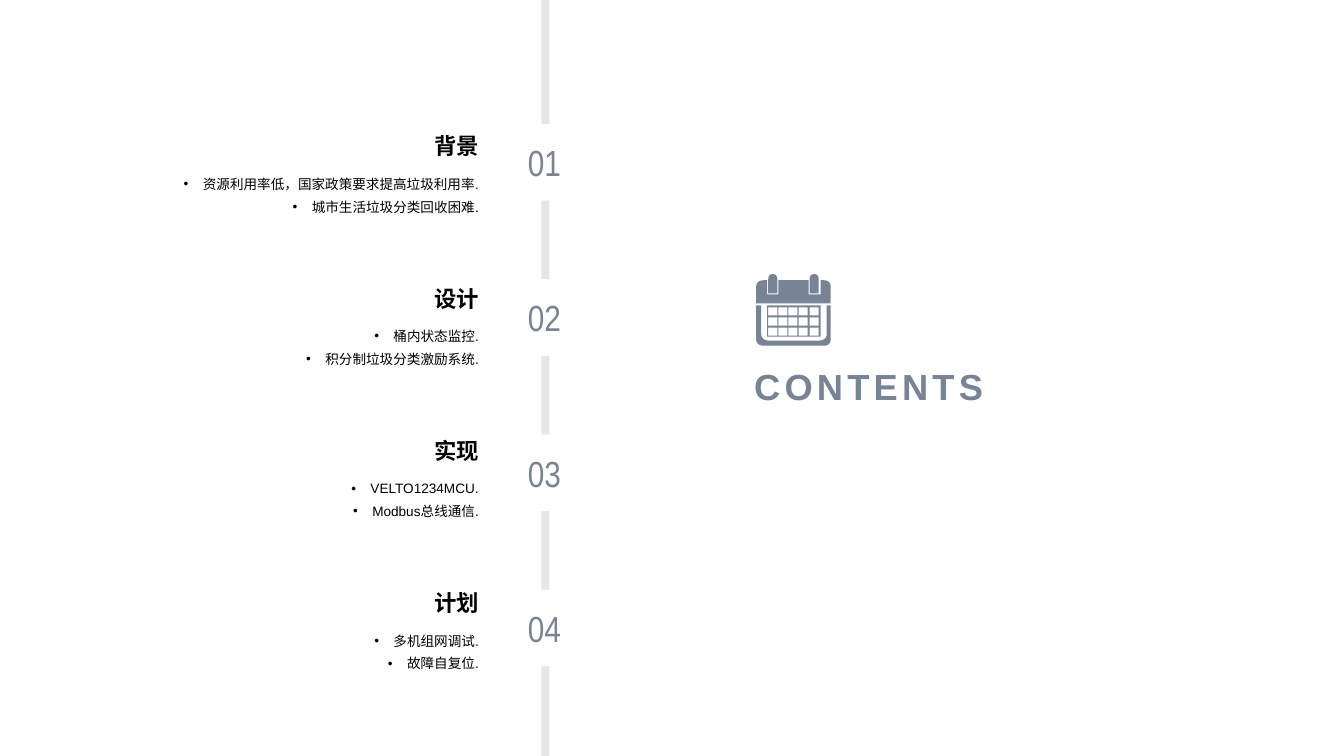
from dataclasses import dataclass
from itertools import product

from lxml.etree import SubElement
from pptx import Presentation
from pptx.dml.color import RGBColor
from pptx.enum.shapes import MSO_SHAPE as Kind
from pptx.enum.text import MSO_ANCHOR as Anchor, MSO_AUTO_SIZE as Fit, PP_ALIGN as Align
from pptx.oxml.ns import qn
from pptx.util import Pt

PX = 9144  # EMU in one px, 100 px to the inch
HUE = {"slate": "778495", "rail": "E4E6EA", "white": "FFFFFF", "ink": "000000"}
STEP = 151  # between topics
GAP = 154  # between numbers

Point = tuple[float, float]
Box = tuple[int, int, int, int]


@dataclass
class Topic:
    head: str
    items: list[str]


TOPICS = [
    Topic("背景", ["资源利用率低，国家政策要求提高垃圾利用率.", "城市生活垃圾分类回收困难."]),
    Topic("设计", ["桶内状态监控.", "积分制垃圾分类激励系统."]),
    Topic("实现", ["VELTO1234MCU.", "Modbus总线通信."]),
    Topic("计划", ["多机组网调试.", "故障自复位."]),
]
HEAD = {"name": "Arial", "size": Pt(16), "bold": True}
ITEM = {"name": "Arial", "size": Pt(9.7), "bold": False}
TITLE = {"name": "Arial", "size": Pt(25.9), "bold": True}
NUMBER = {"name": "Arial Narrow", "size": Pt(25.9), "bold": False}


def apply(target, values: dict) -> None:
    for name, value in values.items():
        setattr(target, name, value)


def color(name: str) -> RGBColor:
    return RGBColor.from_string(HUE[name])


def place(shape, box: Box) -> None:
    names = ("left", "top", "width", "height")
    apply(shape, {name: side * PX for name, side in zip(names, box)})


def paint(shape, hue: str) -> None:
    shape.shadow.inherit = False
    shape.fill.solid()
    shape.fill.fore_color.rgb = color(hue)
    shape.line.fill.background()


def write(shape, lines: list[str], font: dict, hue: str, para: dict,
          anchor: Anchor, wrap: bool = True) -> None:
    frame = shape.text_frame
    frame.text = "\n".join(lines)
    apply(frame, {"auto_size": Fit.NONE, "word_wrap": wrap, "vertical_anchor": anchor})
    for par in frame.paragraphs:
        apply(par, {"space_before": Pt(0), **para})
        for run in par.runs:
            apply(run.font, font)
            run.font.color.rgb = color(hue)


def bullet(par) -> None:
    props = par._p.get_or_add_pPr()
    indents = {"marL": 19 * PX, "indent": -19 * PX}
    for name, value in indents.items():
        props.set(name, str(value))
    SubElement(props, qn("a:buFont")).set("typeface", "Arial")
    SubElement(props, qn("a:buChar")).set("char", "•")


def curve(start: Point, tip: Point, end: Point) -> list[Point]:
    """Points of a rounded corner that bends towards its tip."""
    steps = [n / 8 for n in range(9)]
    return [tuple((1 - t) ** 2 * a + 2 * t * (1 - t) * b + t * t * c
                  for a, b, c in zip(start, tip, end)) for t in steps]


def rect(left: int, top: int, right: int, base: int) -> list[Point]:
    return [(left, top), (right, top), (right, base), (left, base)]


def ring(left: int) -> list[Point]:
    """One binder tab with a round top."""
    mid, right = left + 4.5, left + 9
    return [(left, 291), *curve((left, 277), (left, 272), (mid, 272)),
            *curve((mid, 272), (right, 272), (right, 277)), (right, 291)]


def outline() -> list[list[Point]]:
    """Contours of the calendar; inner ones cut holes."""
    frame = [(750, 303), (755, 303), *curve((755, 331), (755, 338), (764, 338)),
             *curve((811, 338), (820, 338), (820, 331)), (820, 303), (824, 303),
             *curve((824, 336), (824, 343), (817, 343)),
             *curve((758, 343), (750, 343), (750, 336))]
    band = [(750, 301), *curve((750, 285), (750, 278), (758, 278)),
            (761, 278), (761, 292), (772, 292), (772, 278),
            (802, 278), (802, 292), (814, 292), (814, 278),
            *curve((817, 278), (824, 278), (824, 285)), (824, 301)]
    cells = [rect(x, y, x + 9, y + 8) for x, y in
             product((762 + col * 41 // 4 for col in range(5)), range(305, 335, 10))]
    return [frame, rect(761, 303, 814, 334), *cells, band, ring(762), ring(803)]


def calendar(shapes) -> None:
    first, *rest = outline()
    pen = shapes.build_freeform(first[0][0] * PX, first[0][1] * PX)
    for part in [first, *rest]:
        dots = [(x * PX, y * PX) for x, y in part]
        if part is not first:
            pen.move_to(*dots[0])
        pen.add_line_segments(dots[1:], close=True)
    paint(pen.convert_to_shape(), "slate")


def main() -> None:
    deck = Presentation()
    apply(deck, {"slide_width": 1333 * PX, "slide_height": 750 * PX})
    slide = deck.slides.add_slide(deck.slide_layouts.get_by_name("Comparison"))
    shapes = slide.shapes
    title, *bodies = slide.placeholders

    # Title and icon
    place(title, (738, 341, 352, 66))
    write(title, ["CONTENTS"], TITLE, "slate",
          {"alignment": Align.LEFT, "line_spacing": 1.4}, Anchor.MIDDLE)
    title.text_frame.paragraphs[0].runs[0].font._element.set("spc", "300")
    calendar(shapes)

    # Rail
    rail = shapes.add_shape(Kind.RECTANGLE, 0, 0, 0, 0)
    place(rail, (537, 0, 8, 750))
    paint(rail, "rail")

    # Topics with their numbers
    for row, (topic, body) in enumerate(zip(TOPICS, bodies)):
        disc = shapes.add_shape(Kind.OVAL, 0, 0, 0, 0)
        place(disc, (505, 126 + row * GAP, 70, 70))
        paint(disc, "white")
        disc.line.color.rgb = color("white")
        disc.line.width = Pt(4.5)
        write(disc, [f"{row + 1:02}"], NUMBER, "slate",
              {"alignment": Align.CENTER}, Anchor.MIDDLE, wrap=False)

        head = shapes.add_textbox(0, 0, 0, 0)
        place(head, (77, 121 + row * STEP, 408, 42))
        write(head, [topic.head], HEAD, "ink", {"alignment": Align.RIGHT}, Anchor.BOTTOM)

        place(body, (77, 163 + row * STEP, 408, 55))
        write(body, topic.items, ITEM, "ink",
              {"alignment": Align.RIGHT, "line_spacing": 1.4}, Anchor.TOP)
        for par in body.text_frame.paragraphs:
            bullet(par)

    deck.save("out.pptx")


if __name__ == "__main__":
    main()
